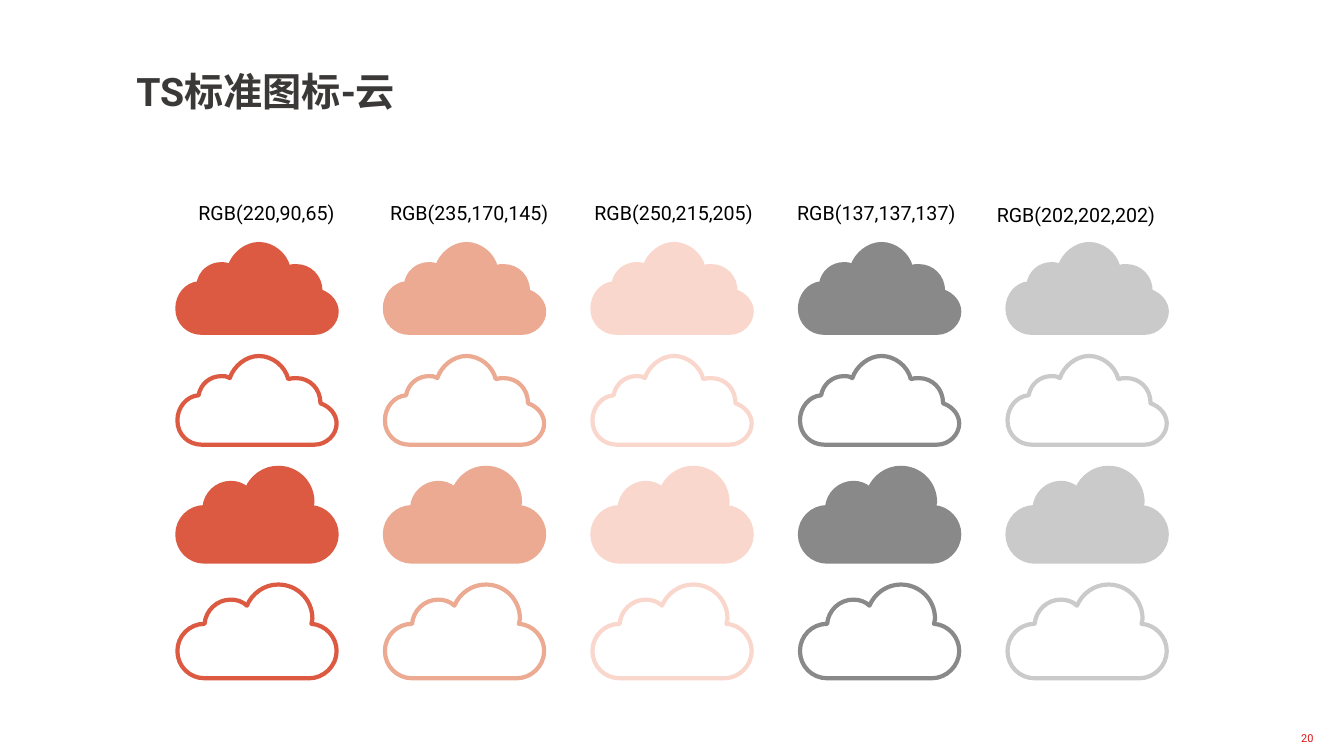
from lxml import etree
from pptx import Presentation
from pptx.dml.color import RGBColor
from pptx.enum.text import MSO_ANCHOR, MSO_AUTO_SIZE, PP_ALIGN
from pptx.oxml.ns import qn
from pptx.util import Cm, Pt

LEFT, RIGHT = PP_ALIGN.LEFT, PP_ALIGN.RIGHT
TOP, MIDDLE = MSO_ANCHOR.TOP, MSO_ANCHOR.MIDDLE
NO_FIT = MSO_AUTO_SIZE.NONE
TITLE_ONLY = 5

# Content
TITLE = "TS标准图标-云"
PAGE_NUMBER = "20"
FONT = "Roboto"

BLACK = RGBColor(0x00, 0x00, 0x00)
WHITE = RGBColor(0xFF, 0xFF, 0xFF)
CHARCOAL = RGBColor(0x3B, 0x38, 0x38)
PAGE_RED = RGBColor(0xDC, 0x14, 0x14)

# Swatches: colour, label left and top in cm, label width in cm
SWATCHES = [
    ((220, 90, 65), 4.75, 4.93, 3.96),
    ((235, 170, 145), 9.58, 4.93, 4.52),
    ((250, 215, 205), 14.73, 4.93, 4.52),
    ((137, 137, 137), 19.84, 4.95, 4.52),
    ((202, 202, 202), 24.87, 4.98, 4.52),
]

# Cloud outlines in hundredths of an inch: two numbers are a line to a point,
# six are a curve (two control points and the end)
FIVE_PUFFS = [
    (142, 47),
    (142, 32, 131, 22, 118, 22),
    (115, 22, 113, 22, 110, 23),
    (107, 10, 94, 0, 81, 0),
    (68, 0, 56, 10, 52, 22),
    (49, 20, 46, 20, 44, 20),
    (32, 20, 23, 28, 21, 39),
    (9, 40, 0, 51, 0, 64),
    (0, 78, 11, 88, 24, 88),
    (136, 88),
    (148, 88, 158, 78, 158, 67),
    (158, 58, 151, 50, 142, 47),
]
FOUR_PUFFS = [
    (100, 0),
    (119, 0, 134, 15, 134, 34),
    (133, 39),
    (147, 40, 158, 52, 158, 66),
    (158, 81, 145, 93, 131, 93),
    (27, 93),
    (12, 93, 0, 81, 0, 66),
    (0, 51, 12, 39, 27, 39),
    (28, 26, 39, 15, 53, 15),
    (59, 15, 65, 17, 69, 21),
    (74, 9, 86, 0, 100, 0),
]

# Rows: outline, top in cm, filled or not
ROWS = [
    (FIVE_PUFFS, 6.15, True),
    (FIVE_PUFFS, 8.97, False),
    (FOUR_PUFFS, 11.79, True),
    (FOUR_PUFFS, 14.73, False),
]
FIRST_LEFT, COLUMN_STEP = 4.47, 5.23
UNIT = Cm(2.54) / 100


def write_text(box, text, size, color, bold=False, align=LEFT, anchor=TOP,
               wrap=True, line_spacing=None):
    frame = box.text_frame
    frame.auto_size = NO_FIT
    frame.word_wrap = wrap
    frame.vertical_anchor = anchor
    para = frame.paragraphs[0]
    para.alignment = align
    para.line_spacing = line_spacing
    span = para.add_run()
    span.text = text
    span.font.name = FONT
    span.font.size = Pt(size)
    span.font.bold = bold
    span.font.color.rgb = color


def bend_edges(cloud, outline):
    """Replace the straight edges that stand for curves by curves."""
    edges = list(cloud.element.iter(qn("a:lnTo")))
    for edge, segment in zip(edges, outline[1:]):
        if len(segment) == 2:
            continue
        curve = etree.Element(qn("a:cubicBezTo"))
        for x, y in zip(segment[::2], segment[1::2]):
            etree.SubElement(curve, qn("a:pt"), x=str(x), y=str(y))
        edge.getparent().replace(edge, curve)


def add_cloud(page, outline, left, top, color, filled):
    corners = [segment[-2:] for segment in outline]
    builder = page.shapes.build_freeform(*corners[0], scale=UNIT)
    builder.add_line_segments(corners[1:], close=True)
    cloud = builder.convert_to_shape(Cm(left), Cm(top))
    bend_edges(cloud, outline)
    cloud.shadow.inherit = False
    cloud.fill.solid()
    cloud.fill.fore_color.rgb = color if filled else WHITE
    cloud.line.color.rgb = color
    cloud.line.width = Pt(3)
    etree.SubElement(cloud.element.spPr.find(qn("a:ln")), qn("a:round"))


def main():
    deck = Presentation()
    deck.slide_width, deck.slide_height = Cm(33.87), Cm(19.05)
    page = deck.slides.add_slide(deck.slide_layouts[TITLE_ONLY])

    # Title
    title = page.shapes.title
    title.left, title.top, title.width, title.height = (
        Cm(3.18), Cm(0.76), Cm(22.12), Cm(2.49))
    write_text(title, TITLE, 28, CHARCOAL, bold=True, anchor=MIDDLE, line_spacing=1.5)

    # One column of label and clouds per colour
    for column, (rgb, label_left, label_top, label_width) in enumerate(SWATCHES):
        label = page.shapes.add_textbox(
            Cm(label_left), Cm(label_top), Cm(label_width), Cm(0.86))
        write_text(label, "RGB({},{},{})".format(*rgb), 14, BLACK, wrap=False)
        for outline, top, filled in ROWS:
            add_cloud(page, outline, FIRST_LEFT + column * COLUMN_STEP, top,
                      RGBColor(*rgb), filled)

    # Page number
    number = page.shapes.add_textbox(Cm(32.05), Cm(18.29), Cm(1.3), Cm(0.61))
    write_text(number, PAGE_NUMBER, 7.8, PAGE_RED, align=RIGHT, anchor=MIDDLE)

    deck.save("out.pptx")


if __name__ == "__main__":
    main()
